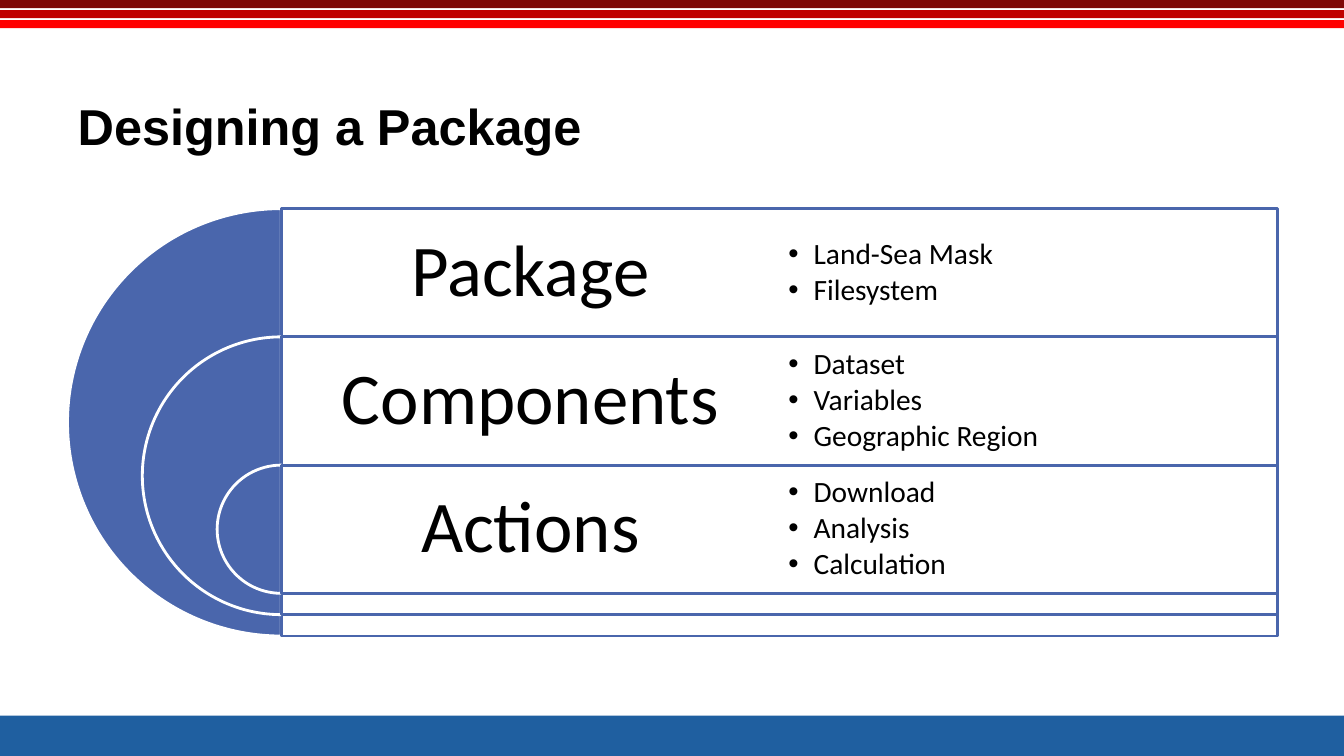
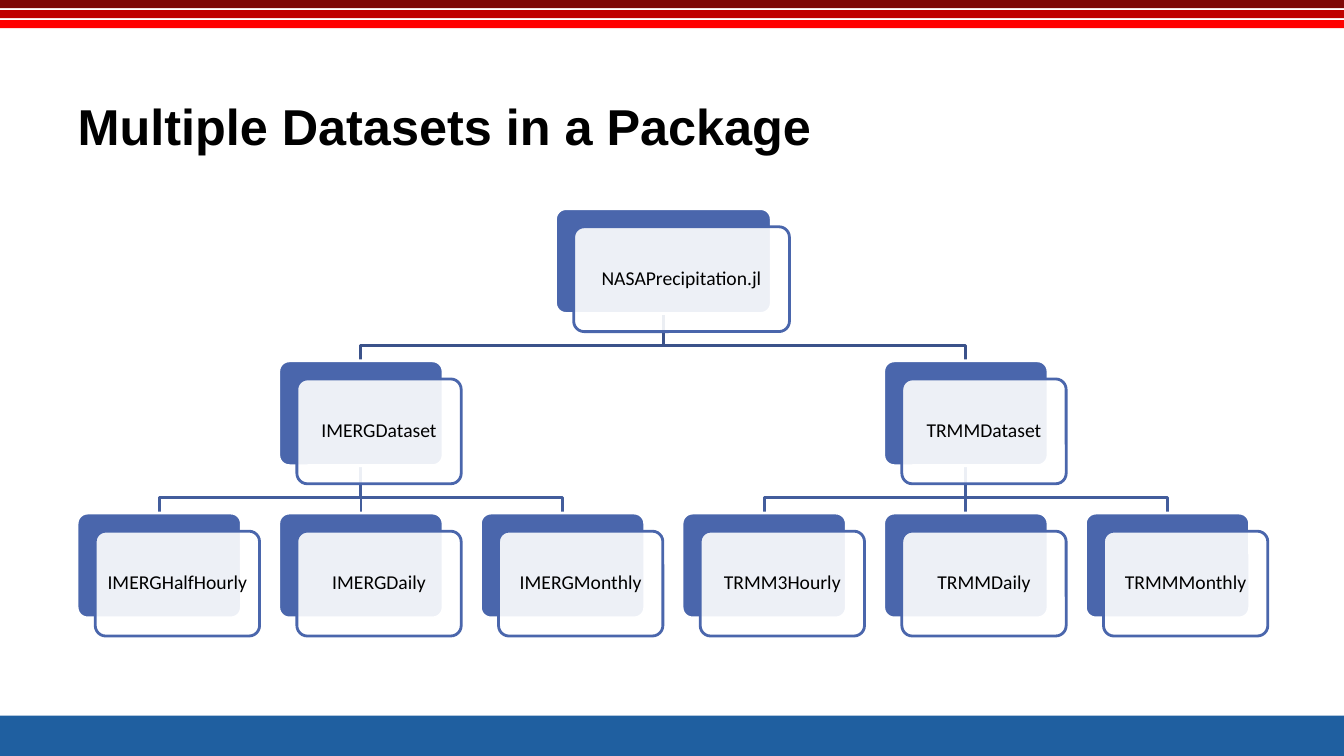
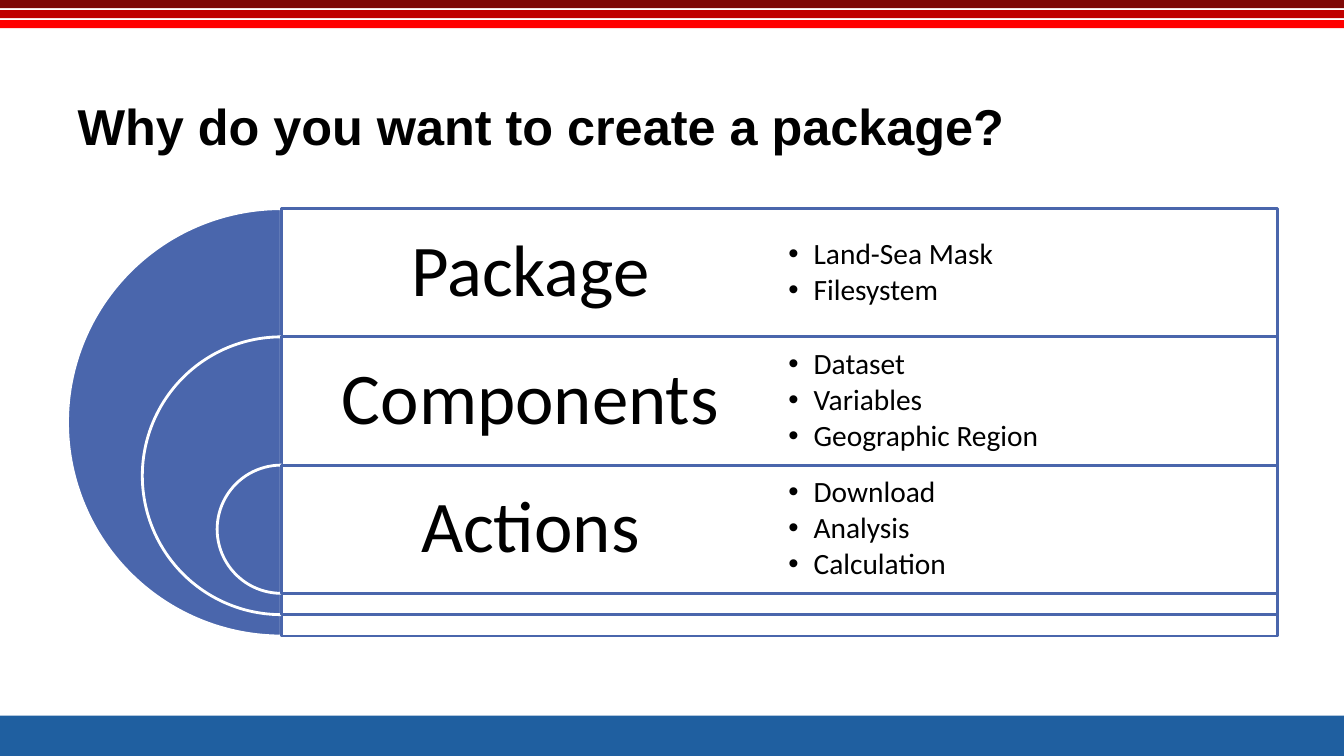
from lxml.etree import SubElement
from pptx import Presentation
from pptx.dml.color import RGBColor
from pptx.enum.shapes import MSO_CONNECTOR, MSO_SHAPE
from pptx.enum.text import MSO_ANCHOR, MSO_AUTO_SIZE, PP_ALIGN
from pptx.oxml.ns import qn
from pptx.util import Inches, Pt

WIDTH, HEIGHT = 13.33, 7.5
LEFT, TOP, DIAGRAM_WIDTH, DIAGRAM_HEIGHT = 0.67, 2.07, 12, 4.24
BLUE, WHITE, BLACK = "4A66AC", "FFFFFF", "000000"
BANDS = [(7.1, 0.4, "1F5FA0"), (0, 0.08, "7F0806"), (0.1, 0.08, "C00000"), (0.2, 0.08, "FF0000")]

TITLE_FONT = {"name": "Arial", "size": Pt(36), "bold": True}
LABEL_FONT = {"name": "Calibri", "size": Pt(52)}
LIST_FONT = {"name": "Calibri", "size": Pt(21)}
CARD_FONT = {"name": "Calibri", "size": Pt(14)}
CENTERED = {"alignment": PP_ALIGN.CENTER, "line_spacing": 0.9}
LISTED = {"alignment": PP_ALIGN.LEFT, "line_spacing": 0.9, "space_after": Pt(3)}

LAYERS = [
    ("Package", ["Land-Sea Mask", "Filesystem"]),
    ("Components", ["Dataset", "Variables", "Geographic Region"]),
    ("Actions", ["Download", "Analysis", "Calculation"]),
]
ROW_SHARE, RING_STEP = 0.3, 0.35

COLUMN_PITCH, ROW_PITCH, FIRST_CENTER = 2, 1.51, 1.58
CARD_WIDTH, ROOT_WIDTH, CARD_HEIGHT, CARD_SHIFT = 1.63, 2.14, 1.04, 0.18
BEND_HEIGHT = 0.32
BRANCH_COLORS = ["3B528A", "435D9C"]
TREE = ("NASAPrecipitation.jl", 2.5, [
    ("IMERGDataset", 1, [("IMERGHalfHourly", 0, []), ("IMERGDaily", 1, []), ("IMERGMonthly", 2, [])]),
    ("TRMMDataset", 4, [("TRMM3Hourly", 3, []), ("TRMMDaily", 4, []), ("TRMMMonthly", 5, [])]),
])


def color(code):
    """Turn a hex string into a colour."""
    return RGBColor.from_string(code)


def apply(target, values):
    """Set every attribute named in a dict."""
    for name, value in values.items():
        setattr(target, name, value)


def inches(*lengths):
    """Convert several lengths to slide units."""
    return [Inches(length) for length in lengths]


def add_block(page, kind, area, fill, line=None, opacity=100):
    """Add a filled preset shape, optionally outlined or translucent."""
    block = page.shapes.add_shape(kind, *inches(*area))
    block.shadow.inherit = False
    block.fill.solid()
    block.fill.fore_color.rgb = color(fill)
    if opacity < 100:
        SubElement(block.element.find(".//" + qn("a:srgbClr")), qn("a:alpha"), val=str(opacity * 1000))
    if line:
        style_line(block.line, line)
    else:
        block.line.fill.background()
    return block


def style_line(line, code):
    """Give a line its colour and the shared width."""
    line.color.rgb = color(code)
    line.width = Pt(2)


def write(box, lines, paragraph_format, font, margin, bulleted=False):
    """Fill a box with formatted paragraphs."""
    frame = box.text_frame
    apply(frame, {"word_wrap": True, "vertical_anchor": MSO_ANCHOR.MIDDLE})
    apply(frame, {"margin_" + side: Inches(margin) for side in ("left", "top", "right", "bottom")})
    frame.text = "\n".join(lines)
    for para in frame.paragraphs:
        if bulleted:
            add_bullet(para)
        apply(para, paragraph_format)
        apply(para.font, font)
        para.font.color.rgb = color(BLACK)


def add_bullet(para):
    """Give a paragraph a round bullet with a hanging indent."""
    properties = para._p.get_or_add_pPr()
    indent = Inches(0.25)
    properties.set("marL", str(indent))
    properties.set("indent", str(-indent))
    SubElement(properties, qn("a:buFont"), typeface="Arial")
    SubElement(properties, qn("a:buChar"), char="•")


def dress_layout(layout, page):
    """Place the title and move the coloured bands into the layout."""
    places = zip(("left", "top", "width", "height"), inches(LEFT, 0.62, DIAGRAM_WIDTH, 1.25))
    apply(layout.placeholders[0], dict(places))
    for number, (top, height, fill) in enumerate(BANDS):
        band = add_block(page, MSO_SHAPE.RECTANGLE, (0, top, WIDTH, height), fill)
        band.element.nvSpPr.cNvPr.set("id", str(100 + number))
        layout.shapes.element.insert(2, band.element)


def add_title(page, text):
    """Write the slide title."""
    write(page.shapes.title, [text], {"alignment": PP_ALIGN.LEFT}, TITLE_FONT, 0.1)
    page.shapes.title.text_frame.auto_size = MSO_AUTO_SIZE.NONE


def draw_layers(page):
    """Draw nested half discs with one labelled row for each layer."""
    center = LEFT + DIAGRAM_HEIGHT / 2
    row_width = LEFT + DIAGRAM_WIDTH - center
    row_height = DIAGRAM_HEIGHT * ROW_SHARE
    column = row_width / 2
    for number, (label, items) in enumerate(LAYERS):
        top = TOP + number * row_height
        size = DIAGRAM_HEIGHT * (1 - number * RING_STEP)
        disc = add_block(page, MSO_SHAPE.PIE, (center - size / 2, top, size, size), BLUE, WHITE)
        disc.adjustments[0], disc.adjustments[1] = 54, 162
        add_block(page, MSO_SHAPE.RECTANGLE, (center, top, row_width, size), WHITE, BLUE, 90)
        name_box = page.shapes.add_textbox(*inches(center, top, column, row_height))
        write(name_box, [label], CENTERED, LABEL_FONT, 0.22)
        list_box = page.shapes.add_textbox(*inches(center + column, top, column, row_height))
        write(list_box, items, LISTED, LIST_FONT, 0.09, bulleted=True)


def column_center(column):
    """Find the middle of a tree column."""
    return FIRST_CENTER + column * COLUMN_PITCH


def draw_branch(page, start, end, level):
    """Join a parent card to a child card in the row below."""
    top = TOP + level * ROW_PITCH + CARD_HEIGHT
    bend, bottom = top + BEND_HEIGHT, TOP + (level + 1) * ROW_PITCH
    if start == end:
        branch = page.shapes.add_connector(MSO_CONNECTOR.STRAIGHT, *inches(start, top, end, bottom))
        SubElement(branch.element.spPr, qn("a:effectLst"))
    else:
        builder = page.shapes.build_freeform(*inches(start, top))
        corners = [(start, bend), (end, bend), (end, bottom)]
        builder.add_line_segments([inches(*corner) for corner in corners], close=False)
        branch = builder.convert_to_shape()
        branch.shadow.inherit = False
        branch.fill.background()
    style_line(branch.line, BRANCH_COLORS[level])


def draw_branches(page, node, level=0):
    """Draw all branches below a node."""
    for child in node[2]:
        draw_branch(page, column_center(node[1]), column_center(child[1]), level)
        draw_branches(page, child, level + 1)


def draw_cards(page, node, level=0):
    """Draw the double card of a node and of all nodes below it."""
    name, column, children = node
    width = CARD_WIDTH if level else ROOT_WIDTH
    left, top = column_center(column) - width / 2, TOP + level * ROW_PITCH
    back = add_block(page, MSO_SHAPE.ROUNDED_RECTANGLE, (left, top, width, CARD_HEIGHT), BLUE, WHITE)
    front_area = (left + CARD_SHIFT, top + CARD_SHIFT, width, CARD_HEIGHT)
    front = add_block(page, MSO_SHAPE.ROUNDED_RECTANGLE, front_area, WHITE, BLUE, 90)
    for card in (back, front):
        card.adjustments[0] = 0.1
    write(front, [name], CENTERED, CARD_FONT, 0.06)
    for child in children:
        draw_cards(page, child, level + 1)


def draw_tree(page):
    """Draw the tree with its branches behind the cards."""
    draw_branches(page, TREE)
    draw_cards(page, TREE)


def main():
    """Build and save the deck."""
    deck = Presentation()
    deck.slide_width, deck.slide_height = inches(WIDTH, HEIGHT)
    layout = deck.slide_layouts.get_by_name("Title Only")
    contents = [
        ("Designing a Package", draw_layers),
        ("Multiple Datasets in a Package", draw_tree),
        ("Why do you want to create a package?", draw_layers),
    ]
    pages = [deck.slides.add_slide(layout) for _ in contents]
    dress_layout(layout, pages[0])
    for page, (title, draw) in zip(pages, contents):
        add_title(page, title)
        draw(page)
    deck.save("out.pptx")


if __name__ == "__main__":
    main()
